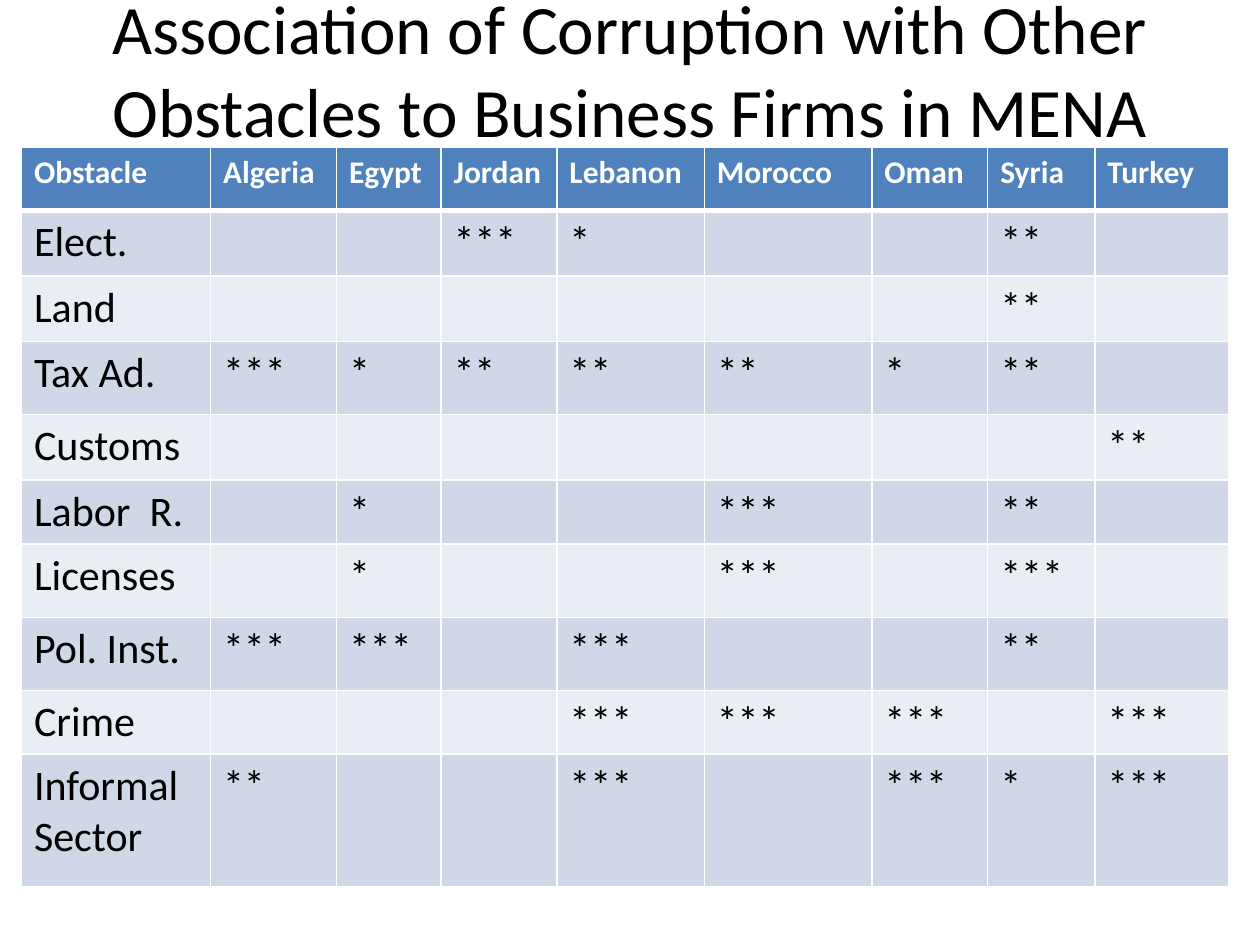
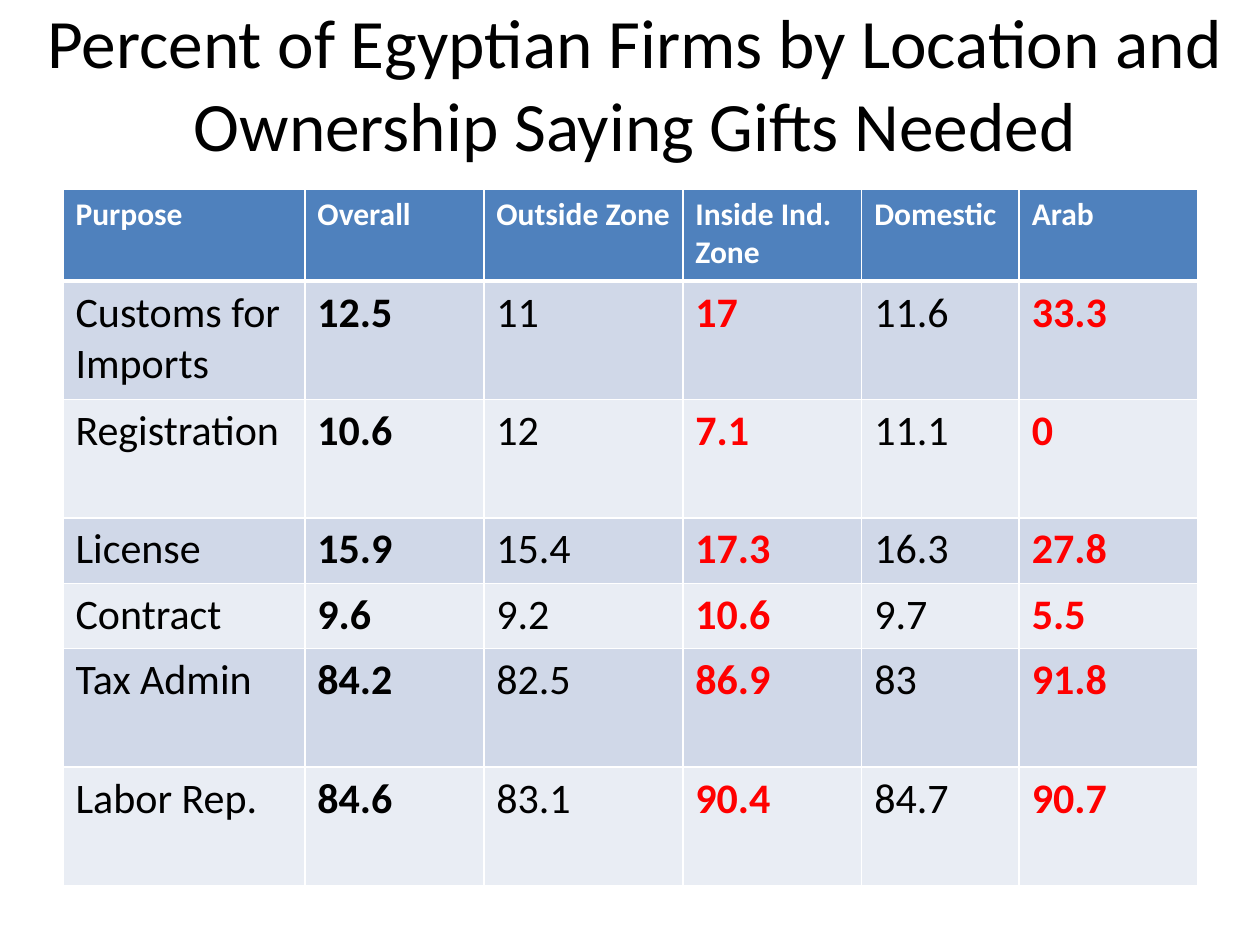
from lxml.etree import SubElement
from pptx import Presentation
from pptx.dml.color import RGBColor
from pptx.enum.text import MSO_ANCHOR, MSO_AUTO_SIZE, PP_ALIGN
from pptx.oxml.ns import qn
from pptx.util import Inches, Pt

BLACK, WHITE, RED = "000000", "FFFFFF", "FF0000"
HEADER_BLUE = "4F81BD"
BAND_FILLS = ("D0D8E8", "E9EDF4")

TITLE_FORMAT = {"name": "Calibri", "size": Pt(39.6), "bold": False}
HEADER_FORMAT = {"name": "Calibri", "size": Pt(18), "bold": True}
BODY_FORMAT = {"name": "Calibri", "size": Pt(24), "bold": False}
STRONG_FORMAT = BODY_FORMAT | {"bold": True}

PLAIN = (BODY_FORMAT, BLACK)
STRONG = (STRONG_FORMAT, BLACK)
ALERT = (STRONG_FORMAT, RED)

OBSTACLE_COLUMNS = [1.5, 1, 0.83, 0.92, 1.17, 1.33, 0.92, 0.85, 1.06]
OBSTACLE_ROWS = [0.5, 0.52, 0.52, 0.58, 0.52, 0.51, 0.58, 0.58, 0.5, 1.05]
OBSTACLES = [
    ["Obstacle", "Algeria", "Egypt", "Jordan", "Lebanon", "Morocco", "Oman", "Syria", "Turkey"],
    ["Elect.", "", "", "***", "*", "", "", "**", ""],
    ["Land", "", "", "", "", "", "", "**", ""],
    ["Tax Ad.", "***", "*", "**", "**", "**", "*", "**", ""],
    ["Customs", "", "", "", "", "", "", "", "**"],
    ["Labor  R.", "", "*", "", "", "***", "", "**", ""],
    ["Licenses", "", "*", "", "", "***", "", "***", ""],
    ["Pol. Inst.", "***", "***", "", "***", "", "", "**", ""],
    ["Crime", "", "", "", "***", "***", "***", "", "***"],
    ["Informal Sector", "**", "", "", "***", "", "***", "*", "***"],
]

GIFT_COLUMNS = [1.92, 1.42, 1.58, 1.42, 1.25, 1.42]
GIFT_ROWS = [0.73, 0.94, 0.94, 0.52, 0.52, 0.94, 0.94]
GIFT_STYLES = [PLAIN, STRONG, PLAIN, ALERT, PLAIN, ALERT]
GIFTS = [
    ["Purpose", "Overall", "Outside Zone", "Inside Ind. Zone", "Domestic", "Arab"],
    ["Customs for Imports", "12.5", "11", "17", "11.6", "33.3"],
    ["Registration", "10.6", "12", "7.1", "11.1", "0"],
    ["License", "15.9", "15.4", "17.3", "16.3", "27.8"],
    ["Contract", "9.6", "9.2", "10.6", "9.7", "5.5"],
    ["Tax Admin", "84.2", "82.5", "86.9", "83", "91.8"],
    ["Labor Rep.", "84.6", "83.1", "90.4", "84.7", "90.7"],
]


def color(hex_text):
    return RGBColor.from_string(hex_text)


def format_font(font, format_values, hex_text):
    for attribute, value in format_values.items():
        setattr(font, attribute, value)
    font.color.rgb = color(hex_text)


def add_borders(cell, top, bottom):
    """Draw white cell borders; top and bottom are widths in points."""
    properties = cell._tc.get_or_add_tcPr()
    for tag, width in (("a:lnL", 1), ("a:lnR", 1), ("a:lnT", top), ("a:lnB", bottom)):
        line = SubElement(properties, qn(tag), w=str(Pt(width)))
        fill = SubElement(line, qn("a:solidFill"))
        SubElement(fill, qn("a:srgbClr"), val=WHITE)


class Deck:
    """Holds the presentation, its style and the current slide."""

    def __init__(self):
        self.presentation = Presentation()
        self.presentation.slide_width = Inches(10)
        self.presentation.slide_height = Inches(7.5)
        self.title_only = self.presentation.slide_layouts.get_by_name("Title Only")
        self.slide = None

    def add_slide(self, title, left, top, width, height):
        self.slide = self.presentation.slides.add_slide(self.title_only)
        self.slide.background.fill.solid()
        self.slide.background.fill.fore_color.rgb = color(WHITE)
        shape = self.slide.shapes.title
        shape.left, shape.top = Inches(left), Inches(top)
        shape.width, shape.height = Inches(width), Inches(height)
        frame = shape.text_frame
        frame.text = title
        frame.word_wrap = True
        frame.auto_size = MSO_AUTO_SIZE.NONE
        frame.vertical_anchor = MSO_ANCHOR.MIDDLE
        paragraph = frame.paragraphs[0]
        paragraph.alignment = PP_ALIGN.CENTER
        format_font(paragraph.runs[0].font, TITLE_FORMAT, BLACK)

    def add_table(self, left, top, widths, heights, records, column_styles):
        table = self.slide.shapes.add_table(
            len(heights), len(widths), Inches(left), Inches(top),
            Inches(sum(widths)), Inches(sum(heights))).table
        for column, width in zip(table.columns, widths):
            column.width = Inches(width)
        for row, height in zip(table.rows, heights):
            row.height = Inches(height)
        for row_index, record in enumerate(records):
            for column_index, text in enumerate(record):
                self.fill_cell(table.cell(row_index, column_index), text,
                               row_index, column_styles[column_index])

    def fill_cell(self, cell, text, row_index, body_style):
        is_header = row_index == 0
        add_borders(cell, top=3 if row_index == 1 else 1, bottom=3 if is_header else 1)
        cell.fill.solid()
        cell.fill.fore_color.rgb = color(
            HEADER_BLUE if is_header else BAND_FILLS[(row_index - 1) % 2])
        if text:
            cell.text = text
            style = (HEADER_FORMAT, WHITE) if is_header else body_style
            format_font(cell.text_frame.paragraphs[0].runs[0].font, *style)


def main():
    deck = Deck()
    deck.add_slide("Association of Corruption with Other Obstacles to Business Firms in MENA",
                   0.5, 0.17, 9, 0.75)
    deck.add_table(0.17, 1.17, OBSTACLE_COLUMNS, OBSTACLE_ROWS, OBSTACLES,
                   [PLAIN] * len(OBSTACLE_COLUMNS))
    deck.add_slide("Percent of Egyptian Firms by Location and Ownership Saying Gifts Needed",
                   0.08, 0.3, 9.92, 0.7)
    deck.add_table(0.5, 1.5, GIFT_COLUMNS, GIFT_ROWS, GIFTS, GIFT_STYLES)
    deck.presentation.save("out.pptx")


if __name__ == "__main__":
    main()
